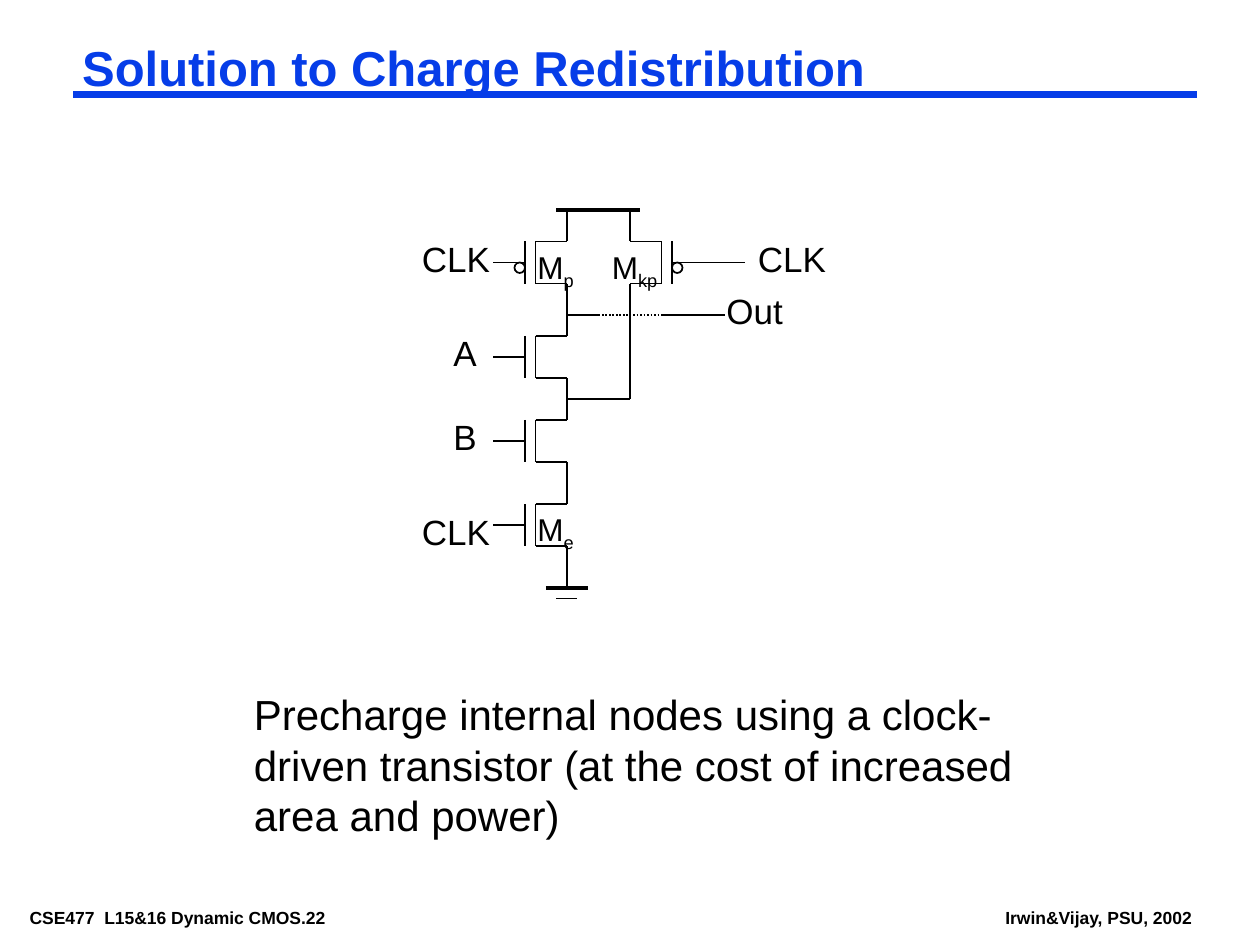
from dataclasses import dataclass

from lxml.etree import SubElement
from pptx import Presentation
from pptx.dml.color import RGBColor
from pptx.enum.dml import MSO_LINE
from pptx.enum.shapes import MSO_CONNECTOR, MSO_SHAPE
from pptx.enum.text import MSO_ANCHOR, MSO_AUTO_SIZE, PP_ALIGN
from pptx.oxml.ns import qn
from pptx.util import Pt


@dataclass(frozen=True)
class Theme:
    font: str = "Arial"
    ink: RGBColor = RGBColor(0x00, 0x00, 0x00)
    accent: RGBColor = RGBColor(0x06, 0x3D, 0xE8)
    title: int = 28
    body: int = 24
    label: int = 20
    device: int = 18
    footer: int = 10
    wire: float = 1
    rail: float = 2.25
    rule: float = 4.5


class CircuitSlide:
    """Holds the theme and the current slide; lengths are in points."""

    def __init__(self, deck, theme):
        self.theme = theme
        self.slide = deck.slides.add_slide(deck.slide_layouts[5])
        self.shapes = self.slide.shapes

    def format_text(self, frame, size, color=None, bold=False, inset=(7.2, 3.6)):
        frame.margin_left = frame.margin_right = Pt(inset[0])
        frame.margin_top = frame.margin_bottom = Pt(inset[1])
        frame.vertical_anchor = MSO_ANCHOR.TOP
        for para in frame.paragraphs:
            para.alignment = PP_ALIGN.LEFT
            for span in para.runs:
                span.font.name = self.theme.font
                span.font.size = Pt(size)
                span.font.bold = bold
                span.font.color.rgb = color or self.theme.ink

    def title(self, text, left, top, width, height):
        box = self.shapes.title
        box.left, box.top, box.width, box.height = map(Pt, (left, top, width, height))
        box.text_frame.text = text
        box.text_frame.paragraphs[0].line_spacing = 0.87
        self.format_text(box.text_frame, self.theme.title, self.theme.accent,
                         True, (5, 2))

    def text(self, text, left, top, width, height, size, wrap=False, **style):
        box = self.shapes.add_textbox(*map(Pt, (left, top, width, height)))
        box.text_frame.word_wrap = wrap
        box.text_frame.auto_size = MSO_AUTO_SIZE.SHAPE_TO_FIT_TEXT
        box.text_frame.text = text
        self.format_text(box.text_frame, size, **style)
        return box

    def device_name(self, subscript, left, top, width):
        box = self.text("M", left, top, width, 32, self.theme.device)
        para = box.text_frame.paragraphs[0]
        para.add_run().text = subscript
        self.format_text(box.text_frame, self.theme.device)
        para.runs[1].font._element.set("baseline", "-25000")

    def line(self, x1, y1, x2, y2, weight=None, color=None, parent=None, dash=None):
        shapes = parent.shapes if parent else self.shapes
        wire = shapes.add_connector(MSO_CONNECTOR.STRAIGHT, *map(Pt, (x1, y1, x2, y2)))
        wire.line.width = Pt(weight or self.theme.wire)
        wire.line.color.rgb = color or self.theme.ink
        if dash:
            wire.line.dash_style = dash
        SubElement(wire._element.spPr, qn("a:effectLst"))

    def transistor(self, x, top, side=-1, bubble=False):
        """Draw a device with its terminals at x and its gate on the given side."""
        group = self.shapes.add_group_shape()
        bottom, middle = top + 24, top + 12
        channel, gate, lead = (x + side * step for step in (18, 24, 42))
        for x1, y1, x2, y2 in (
            (channel, top, x, top),
            (channel, top, channel, bottom),
            (channel, bottom, x, bottom),
            (gate, top, gate, bottom),
            (x, bottom, x, bottom + 18),
            (lead, middle, gate, middle),
            (x, top - 18, x, top),
        ):
            self.line(x1, y1, x2, y2, parent=group)
        if bubble:
            left = min(gate, gate + side * 6)
            circle = group.shapes.add_shape(
                MSO_SHAPE.OVAL, Pt(left), Pt(middle), Pt(6), Pt(6))
            circle.shadow.inherit = False
            circle.fill.background()
            circle.line.color.rgb = self.theme.ink
            circle.line.width = Pt(self.theme.wire)

    def ground(self, x, top):
        group = self.shapes.add_group_shape()
        self.line(x - 12, top, x + 12, top, self.theme.rail, parent=group)
        self.line(x - 6, top + 6, x + 6, top + 6, parent=group)
        self.line(x, top - 18, x, top, parent=group)


def main():
    theme = Theme()
    deck = Presentation()
    deck.slide_width, deck.slide_height = Pt(720), Pt(540)
    page = CircuitSlide(deck, theme)

    # Footer, title and rule
    for text, left, width in (("CSE477  L15&16 Dynamic CMOS.22", 12, 180),
                              ("Irwin&Vijay, PSU, 2002", 569.5, 117.5)):
        page.text(text, left, 516.2, width, 16, theme.footer, bold=True, inset=(5, 2))
    page.line(42, 54, 684, 54, theme.rule, theme.accent)
    page.title("Solution to Charge Redistribution", 42, 24, 642, 33)

    # Transistors: the main stack, then the keeper on the right
    stack, keeper, supply, out = 324, 360, 120, 180
    page.transistor(stack, 138, bubble=True)
    for top in (192, 240, 288):
        page.transistor(stack, top)
    page.transistor(keeper, 138, side=1, bubble=True)

    # Supply, ground and wiring
    page.line(stack - 6, supply, keeper + 6, supply, theme.rail)
    page.ground(stack, 336)
    page.line(396, 150, 426, 150)
    page.line(keeper, 174, keeper, 228)
    page.line(stack, 228, keeper, 228)
    page.line(stack, out, 342, out)
    page.line(342, out, 378, out, dash=MSO_LINE.ROUND_DOT)
    page.line(378, out, 414, out)

    # Signal and device names
    for text, left, top, width in (
        ("CLK", 234, 288, 53.5), ("CLK", 234, 132, 53.5), ("CLK", 426, 132, 53.5),
        ("A", 252, 186, 27.5), ("B", 252, 234, 27.5), ("Out", 408, 162, 47),
    ):
        page.text(text, left, top, width, 32, theme.label)
    for subscript, left, top, width in (
        ("e", 300, 288, 35.5), ("p", 300, 138, 35.5), ("kp", 342.5, 138, 40.5),
    ):
        page.device_name(subscript, left, top, width)

    # Takeaway
    page.text("Precharge internal nodes using a clock-driven transistor "
              "(at the cost of increased area and power)",
              138, 390, 456, 94, theme.body, wrap=True)

    deck.save("out.pptx")


if __name__ == "__main__":
    main()
